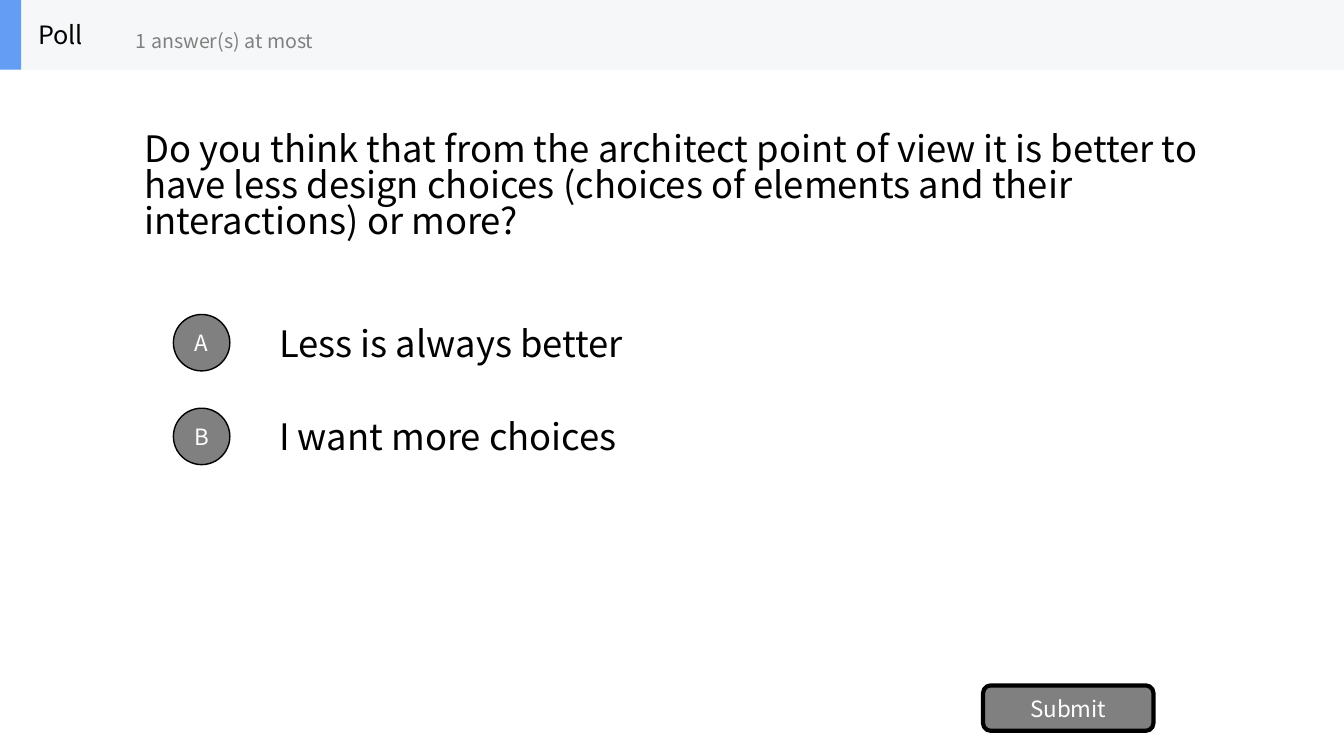
from dataclasses import dataclass

from pptx import Presentation
from pptx import util as u
from pptx.dml.color import RGBColor
from pptx.enum import shapes, text

FONT = "Noto Sans CJK SC"
BLACK = RGBColor(0x00, 0x00, 0x00)
WHITE = RGBColor(0xFF, 0xFF, 0xFF)
GRAY = RGBColor(0x80, 0x80, 0x80)
PALE = RGBColor(0xF6, 0xF7, 0xF8)
BLUE = RGBColor(0x63, 0x9E, 0xF4)

SLIDE_WIDTH = 13.33
HEADER_HEIGHT = 0.69
OPTION_TOP = 3.05
OPTION_STEP = 0.93
OPTION_HEIGHT = 0.7
BADGE_SIZE = 0.56


@dataclass(frozen=True)
class Area:
    left: float
    top: float
    width: float
    height: float

    def lengths(self) -> tuple:
        return tuple(u.Inches(side) for side in
                     (self.left, self.top, self.width, self.height))


@dataclass(frozen=True)
class Option:
    letter: str
    answer: str


def write(shape, words: str, size: int, color: RGBColor,
          align=text.PP_ALIGN.LEFT) -> None:
    frame = shape.text_frame
    frame.text = words
    frame.word_wrap = True
    frame.auto_size = text.MSO_AUTO_SIZE.NONE
    frame.vertical_anchor = text.MSO_ANCHOR.MIDDLE
    para = frame.paragraphs[0]
    para.alignment = align
    font = para.runs[0].font
    font.name = FONT
    font.size = u.Pt(size)
    font.color.rgb = color


def add_label(parent, area: Area, words: str, size: int, color: RGBColor) -> None:
    write(parent.add_textbox(*area.lengths()), words, size, color)


def add_block(parent, kind, area: Area, fill: RGBColor):
    block = parent.add_shape(kind, *area.lengths())
    block.shadow.inherit = False
    block.fill.solid()
    block.fill.fore_color.rgb = fill
    block.line.fill.background()
    return block


def add_button(parent, kind, area: Area, words: str, border: int) -> None:
    button = add_block(parent, kind, area, GRAY)
    button.line.color.rgb = BLACK
    button.line.width = u.Pt(border)
    write(button, words, 16, WHITE, text.PP_ALIGN.CENTER)


def add_option(parent, index: int, option: Option) -> None:
    top = OPTION_TOP + index * OPTION_STEP
    add_label(parent, Area(2.67, top, 9.33, OPTION_HEIGHT), option.answer, 26, BLACK)
    badge_top = top + (OPTION_HEIGHT - BADGE_SIZE) / 2
    add_button(parent, shapes.MSO_SHAPE.OVAL,
               Area(1.72, badge_top, BADGE_SIZE, BADGE_SIZE), option.letter, 1)


def add_header(page) -> None:
    header = page.shapes.add_group_shape().shapes
    for width, color in ((SLIDE_WIDTH, PALE), (0.21, BLUE)):
        add_block(header, shapes.MSO_SHAPE.RECTANGLE,
                  Area(0, 0, width, HEADER_HEIGHT), color)
    add_label(header, Area(0.28, 0, 2.08, HEADER_HEIGHT), "Poll", 18, BLACK)
    add_label(header, Area(1.25, 0.12, 2.5, 0.56), "1 answer(s) at most", 14, GRAY)


def add_question(page, words: str) -> None:
    title = page.shapes.title
    title.left, title.top, title.width, title.height = Area(
        1.33, 0.69, 10.67, 2.34).lengths()
    write(title, words, 26, BLACK)
    title.text_frame.paragraphs[0].line_spacing = 0.82


OPTIONS = (
    Option("A", "Less is always better"),
    Option("B", "I want more choices"),
)

deck = Presentation()
deck.slide_width = u.Inches(SLIDE_WIDTH)
deck.slide_height = u.Inches(7.5)
page = deck.slides.add_slide(deck.slide_layouts.get_by_name("Title Only"))

add_question(page, "Do you think that from the architect point of view it is better "
                   "to have less design choices (choices of elements and their "
                   "interactions) or more?")
for index, option in enumerate(OPTIONS):
    add_option(page.shapes, index, option)
add_button(page.shapes, shapes.MSO_SHAPE.ROUNDED_RECTANGLE,
           Area(9.75, 6.8, 1.69, 0.45), "Submit", 3)
add_header(page)

deck.save("out.pptx")
